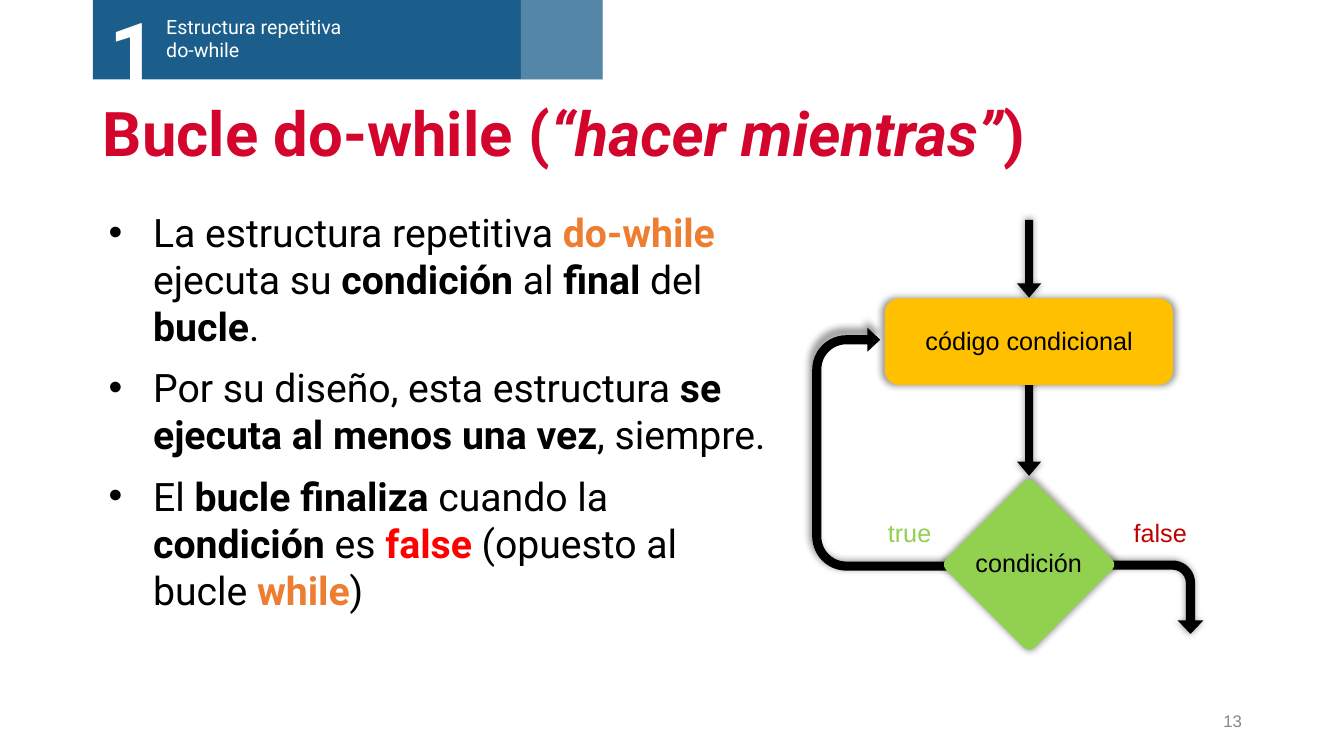
from lxml import etree
from pptx import Presentation
from pptx import util as u
from pptx.dml.color import RGBColor
from pptx.enum import shapes, text
from pptx.oxml import ns

COLORS = {
    "white": "FFFFFF", "black": "000000", "title": "D3052C", "band": "1B5E8B",
    "orange": "ED7D31", "red": "FF0000", "gray": "888888", "green": "92D050",
    "darkred": "C00000", "amber": "FFC000",
}
KEYWORD = {"color": "orange", "bold": True}
STRONG = {"bold": True}
BULLETS = [
    [("La estructura repetitiva ", {}), ("do-while", KEYWORD), (" ejecuta su ", {}),
     ("condición", STRONG), (" al ", {}), ("final", STRONG), (" del ", {}),
     ("bucle", STRONG), (".", {})],
    [("Por su diseño, esta estructura ", {}),
     ("se ejecuta al menos una vez", STRONG), (", siempre.", {})],
    [("El ", {}), ("bucle finaliza", STRONG), (" cuando la ", {}),
     ("condición", STRONG), (" es ", {}), ("false", {"color": "red", "bold": True}),
     (" (opuesto al bucle ", {}), ("while", KEYWORD), (")", {})],
]
MSO = shapes.MSO_SHAPE
ALIGN = text.PP_ALIGN
ANCHOR = text.MSO_ANCHOR
FIT = text.MSO_AUTO_SIZE


def rgb(name):
    return RGBColor.from_string(COLORS[name])


def add_text(p, content, font="Roboto", size=28, color="black", bold=False, italic=False):
    r = p.add_run()
    r.text = content
    f = r.font
    f.name, f.size, f.bold, f.italic = font, u.Pt(size), bold, italic
    f.color.rgb = rgb(color)


def add_box(s, at, wrap=True, fit=FIT.SHAPE_TO_FIT_TEXT, anchor=ANCHOR.TOP):
    tf = s.shapes.add_textbox(*map(u.Cm, at)).text_frame
    tf.word_wrap, tf.auto_size, tf.vertical_anchor = wrap, fit, anchor
    return tf


def add_label(s, at, content, align=ALIGN.LEFT, wrap=True, **fmt):
    p = add_box(s, at, wrap).paragraphs[0]
    p.alignment = align
    for i, line in enumerate(content.split("\n")):
        if i:
            p.add_line_break()
        add_text(p, line, **fmt)


def add_figure(s, kind, at, color, adj=(), rotation=0, alpha=None, halo=False):
    sp = s.shapes.add_shape(kind, *map(u.Cm, at))
    sp.shadow.inherit = False
    sp.fill.solid()
    sp.fill.fore_color.rgb = rgb(color)
    sp.line.fill.background()
    sp.rotation = rotation
    for i, value in enumerate(adj):
        sp.adjustments[i] = value
    if alpha is not None:
        clr = sp._element.spPr.find(".//" + ns.qn("a:srgbClr"))
        etree.SubElement(clr, ns.qn("a:alpha"), val=str(alpha * 1000))
    if halo:
        effects = sp._element.spPr.find(ns.qn("a:effectLst"))
        shadow = etree.SubElement(effects, ns.qn("a:outerShdw"), blurRad="63500",
                                  sx="102000", sy="102000", algn="ctr", rotWithShape="0")
        clr = etree.SubElement(shadow, ns.qn("a:srgbClr"), val=COLORS["black"])
        etree.SubElement(clr, ns.qn("a:alpha"), val="40000")


def set_bullet(p):
    pPr = p._p.get_or_add_pPr()
    pPr.set("marL", str(u.Cm(1.27)))
    pPr.set("indent", str(-u.Cm(1.12)))
    clr = etree.SubElement(pPr, ns.qn("a:buClr"))
    etree.SubElement(clr, ns.qn("a:srgbClr"), val=COLORS["black"])
    etree.SubElement(pPr, ns.qn("a:buFont"), typeface="Arial")
    etree.SubElement(pPr, ns.qn("a:buChar"), char="•")


def add_title(s):
    sp = s.shapes.title
    sp.left, sp.top, sp.width, sp.height = map(u.Cm, (2.34, 2.36, 31.75, 2.18))
    tf = sp.text_frame
    tf.word_wrap, tf.auto_size, tf.vertical_anchor = True, FIT.NONE, ANCHOR.MIDDLE
    p = tf.paragraphs[0]
    p.alignment, p.line_spacing = ALIGN.LEFT, 0.9
    for content, italic in (("Bucle do-while (", False), ("“hacer mientras”", True), (")", False)):
        add_text(p, content, size=44, color="title", bold=True, italic=italic)


def add_bullets(s):
    tf = add_box(s, (2.34, 5.13, 17.2, 12.14), fit=FIT.NONE)
    for i, runs in enumerate(BULLETS):
        p = tf.add_paragraph() if i else tf.paragraphs[0]
        p.space_before = u.Pt(10)
        set_bullet(p)
        for content, fmt in runs:
            add_text(p, content, **fmt)


def add_header(s):
    add_figure(s, MSO.RECTANGLE, (2.34, -0.03, 12.85, 2.03), "band")
    add_label(s, (3.94, 0.25, 6.99, 1.45), "Estructura repetitiva\ndo-while", size=14, color="white")
    add_label(s, (2.51, -0.13, 2.84, 2.82), "1", size=60, color="white", bold=True)
    add_figure(s, MSO.RECTANGLE, (13.13, -0.03, 2.06, 2.03), "white", alpha=25)


def add_flowchart(s):
    arial = {"font": "Arial", "size": 18}
    centered = {"align": ALIGN.CENTER, "wrap": False, **arial}
    add_figure(s, MSO.U_TURN_ARROW, (20.14, 8.59, 6.12, 5.46), "black",
               (0.042, 0.055, 0.059, 0.158, 0.314), 270, halo=True)
    for top, height in ((5.54, 1.96), (9.6, 2.39)):
        add_figure(s, MSO.DOWN_ARROW, (25.63, top, 0.61, height), "black",
                   (0.333, 0.584), halo=True)
    add_figure(s, MSO.BENT_ARROW, (28.17, 13.82, 1.85, 2.46), "black",
               (0.125, 0.175, 0.183, 0.308), 90, halo=True)
    add_figure(s, MSO.ROUNDED_RECTANGLE, (24.36, 12.65, 3.15, 3.15), "green",
               (0.061,), 315, halo=True)
    add_label(s, (24.31, 13.67, 3.23, 1.02), "condición", **centered)
    add_label(s, (22.07, 12.9, 1.65, 1.02), "true", align=ALIGN.RIGHT, color="green", **arial)
    add_label(s, (28.32, 12.9, 2.29, 1.02), "false", color="darkred", **arial)
    add_figure(s, MSO.ROUNDED_RECTANGLE, (22.3, 7.52, 7.26, 2.18), "amber", halo=True)
    add_label(s, (23.04, 8.08, 5.79, 1.02), "código condicional", **centered)


def add_page_number(s):
    tf = add_box(s, (23.93, 17.65, 7.62, 1.02), fit=FIT.NONE, anchor=ANCHOR.MIDDLE)
    p = tf.paragraphs[0]
    p.alignment = ALIGN.RIGHT
    add_text(p, "13", font="Arial", size=12, color="gray")


def main():
    prs = Presentation()
    prs.slide_width, prs.slide_height = u.Cm(33.87), u.Cm(19.05)
    s = prs.slides.add_slide(prs.slide_layouts.get_by_name("Title Only"))
    add_title(s)
    add_page_number(s)
    add_bullets(s)
    add_header(s)
    add_flowchart(s)
    prs.save("out.pptx")


if __name__ == "__main__":
    main()
